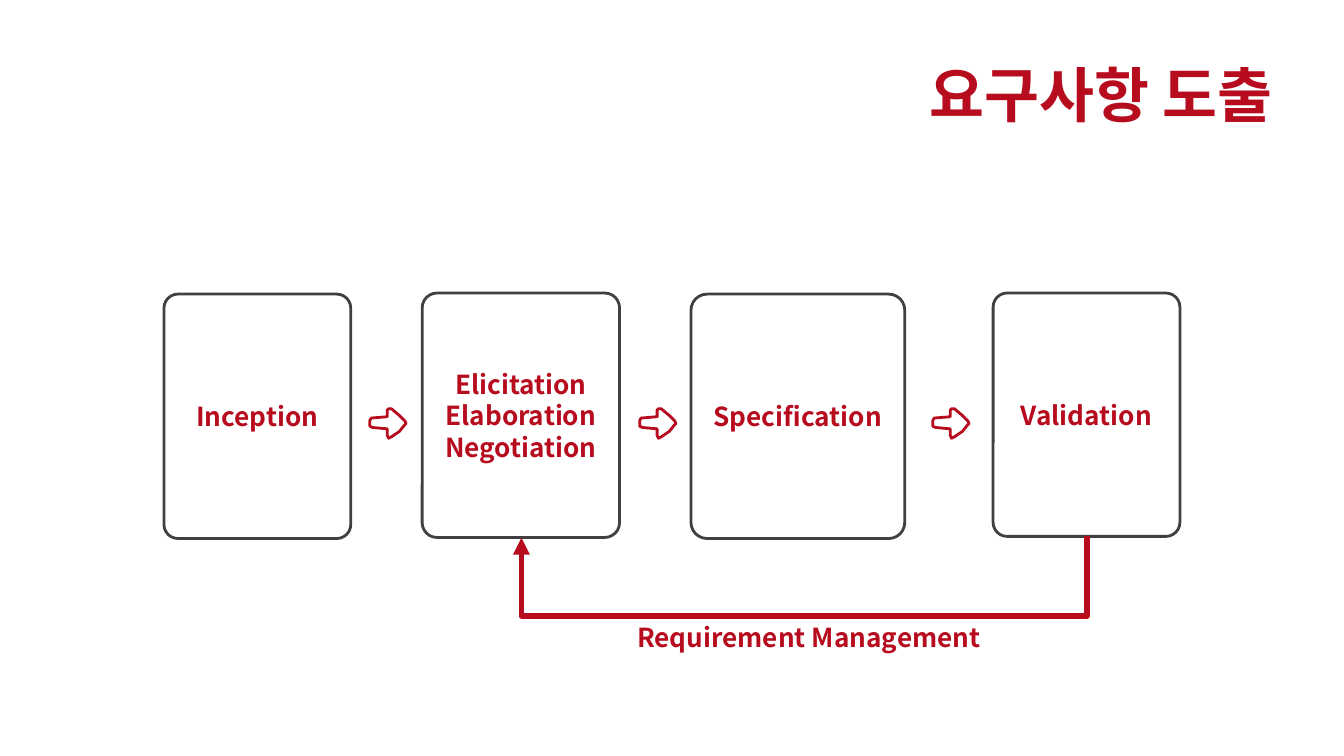
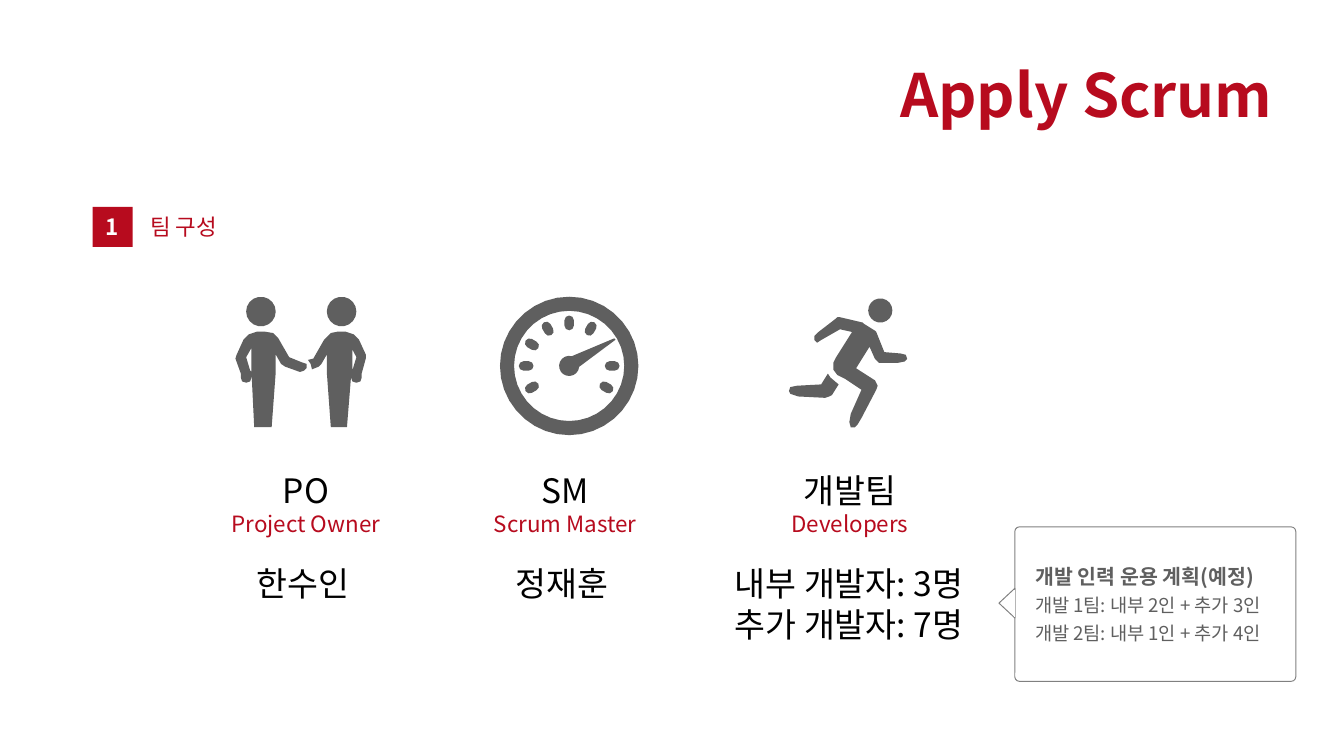
import dataclasses
import math
import typing

import lxml.etree
import pptx
import pptx.dml.color
import pptx.enum.shapes
import pptx.enum.text
import pptx.oxml.ns
import pptx.util

Cm = pptx.util.Cm
Pt = pptx.util.Pt
Align = pptx.enum.text.PP_ALIGN
Anchor = pptx.enum.text.MSO_ANCHOR
Fit = pptx.enum.text.MSO_AUTO_SIZE
Preset = pptx.enum.shapes.MSO_SHAPE
Connector = pptx.enum.shapes.MSO_CONNECTOR

FONT = "Noto Sans CJK KR"
RED, WHITE, BLACK = "B70B1E", "FFFFFF", "000000"
OUTLINE, ICON_GREY, CALLOUT_GREY = "404040", "5F5F5F", "808080"
TITLE_RIGHT = 24.31
GRID = 100

Point = tuple[float, float]
Contour = list[Point]


@dataclasses.dataclass(frozen=True)
class Area:
    left: float
    top: float
    width: float
    height: float

    def lengths(self) -> list[int]:
        return [Cm(value) for value in dataclasses.astuple(self)]


@dataclasses.dataclass(frozen=True)
class Line:
    text: str
    size: float
    color: str = RED
    bold: bool = False


@dataclasses.dataclass(frozen=True)
class Stage:
    text: tuple[str, ...]
    area: Area


@dataclasses.dataclass(frozen=True)
class Member:
    role: str
    label: str
    role_left: float
    names: tuple[str, ...]
    names_area: Area
    icon: list[Contour]
    icon_left: float
    icon_top: float


def colour(value: str) -> pptx.dml.color.RGBColor:
    return pptx.dml.color.RGBColor.from_string(value)


def set_values(target: typing.Any, values: dict[str, typing.Any]) -> None:
    for name, value in values.items():
        setattr(target, name, value)


def write(frame: typing.Any, lines: list[Line], frame_values: dict[str, typing.Any],
          para_values: dict[str, typing.Any]) -> None:
    set_values(frame, frame_values)
    for index, line in enumerate(lines):
        para = frame.add_paragraph() if index else frame.paragraphs[0]
        set_values(para, para_values)
        span = para.add_run()
        span.text = line.text
        set_values(span.font, {"name": FONT, "size": Pt(line.size), "bold": line.bold})
        span.font.color.rgb = colour(line.color)
        east_asian = lxml.etree.SubElement(span.font._element, pptx.oxml.ns.qn("a:ea"))
        east_asian.set("typeface", FONT)


def paint(shape: typing.Any, fill: str = "", line: str = "", width: float = 0) -> None:
    shape.shadow.inherit = False
    if fill:
        shape.fill.solid()
        shape.fill.fore_color.rgb = colour(fill)
    else:
        shape.fill.background()
    if line:
        shape.line.color.rgb = colour(line)
        shape.line.width = Pt(width)
    else:
        shape.line.fill.background()


def add_text(shapes: typing.Any, area: Area, lines: list[Line],
             align: typing.Any = Align.CENTER, wrap: bool = True) -> None:
    box = shapes.add_textbox(*area.lengths())
    write(box.text_frame, lines, {"word_wrap": wrap, "auto_size": Fit.SHAPE_TO_FIT_TEXT},
          {"alignment": align})


def add_preset(shapes: typing.Any, kind: typing.Any, area: Area, fill: str = "",
               line: str = "", width: float = 0) -> typing.Any:
    shape = shapes.add_shape(kind, *area.lengths())
    paint(shape, fill, line, width)
    return shape


def add_outline(shapes: typing.Any, contours: list[Contour], left: float, top: float,
                fill: str = "", line: str = "", width: float = 0) -> None:
    scaled = [[(x * GRID, y * GRID) for x, y in contour] for contour in contours]
    builder = shapes.build_freeform(*scaled[0][0], scale=Cm(2.54) / (100 * GRID))
    for index, contour in enumerate(scaled):
        if index:
            builder.move_to(*contour[0])
        builder.add_line_segments(contour[1:], close=True)
    paint(builder.convert_to_shape(Cm(left), Cm(top)), fill, line, width)


def add_line(shapes: typing.Any, kind: typing.Any, begin: Point, end: Point,
             color: str, width: float) -> typing.Any:
    line = shapes.add_connector(kind, *[Cm(value) for value in begin + end])
    line.line.color.rgb = colour(color)
    line.line.width = Pt(width)
    lxml.etree.SubElement(line._element.spPr, pptx.oxml.ns.qn("a:effectLst"))
    return line


def add_return_arrow(shapes: typing.Any, left: float, top: float, offset: float,
                     span: float, drop: float) -> None:
    arrow = add_line(shapes, Connector.ELBOW, (left, top), (left + offset, top + span), RED, 3)
    properties = arrow._element.spPr
    properties.find(pptx.oxml.ns.qn("a:xfrm")).set("rot", "5400000")
    adjustments = properties.find(pptx.oxml.ns.qn("a:prstGeom")).get_or_add_avLst()
    guide = lxml.etree.SubElement(adjustments, pptx.oxml.ns.qn("a:gd"))
    guide.set("name", "adj1")
    guide.set("fmla", f"val {round(drop / offset * 100000)}")
    stroke = properties.find(pptx.oxml.ns.qn("a:ln"))
    lxml.etree.SubElement(stroke, pptx.oxml.ns.qn("a:tailEnd")).set("type", "triangle")


def add_page(deck: typing.Any, title: str, title_width: float) -> typing.Any:
    page = deck.slides.add_slide(deck.slide_layouts[5])
    box = page.shapes.title
    area = Area(TITLE_RIGHT - title_width, 0.97, title_width, 1.63)
    set_values(box, dict(zip(("left", "top", "width", "height"), area.lengths())))
    write(box.text_frame, [Line(title, 32, bold=True)],
          {"word_wrap": False, "auto_size": Fit.SHAPE_TO_FIT_TEXT,
           "vertical_anchor": Anchor.TOP}, {"alignment": Align.RIGHT})
    return page


def arc(x: float, y: float, radius: float, step: int, start: int = 0,
        sweep: int = 360) -> Contour:
    angles = [math.radians(angle) for angle in range(start, start + sweep, step)]
    return [(x + radius * math.cos(a), y - radius * math.sin(a)) for a in angles]


def gauge_tick(center: float, degrees: int) -> Contour:
    def end(radius: float, start: int) -> Contour:
        turn = math.radians(degrees)
        x = center + radius * math.cos(turn)
        y = center - radius * math.sin(turn)
        return arc(x, y, 3.5, 45, start, 181)

    return end(34, degrees - 90) + end(30, degrees + 90)


ARROW = [[(16, 1), (22, 6), (26, 10), (27, 12), (26, 13), (22, 18), (16, 22), (14, 23),
          (13, 21), (13, 16), (2, 15), (0, 14), (0, 10), (1, 8), (13, 7), (13, 2), (14, 1)]]

HANDSHAKE = [
    arc(19, 11, 11, 20),
    arc(79, 11, 11, 20),
    [(16, 26), (10, 28), (6, 32), (1, 43), (0, 46), (4, 57), (4, 60), (5, 63), (8, 64),
     (11, 63), (12, 60), (12, 56), (14, 97), (27, 97), (30, 56), (30, 43), (34, 50),
     (37, 52), (48, 56), (51, 55), (53, 53), (53, 50), (50, 49), (40, 45), (32, 31),
     (28, 27), (22, 26)],
    [(76, 26), (71, 27), (68, 30), (66, 32), (58, 46), (54, 47), (56, 50), (57, 54),
     (62, 52), (64, 50), (68, 43), (68, 56), (71, 97), (83, 97), (86, 60), (87, 63),
     (90, 64), (93, 63), (94, 60), (94, 57), (97, 46), (97, 43), (92, 32), (88, 28),
     (82, 26)],
    [(12, 38), (12, 56), (11, 55), (8, 45)],
    [(87, 39), (90, 45), (87, 55)],
]

GAUGE = [
    arc(51.5, 51.5, 51.5, 10),
    arc(51.5, 51.5, 41, 10),
    *[gauge_tick(51.5, angle) for angle in range(-30, 211, 30) if angle != 30],
    arc(51.5, 51.5, 7.5, 20, 75, 281) + [(86, 32), (85, 31)],
]

RUNNER = [
    arc(68, 9, 9, 20),
    [(36, 14), (35, 15), (22, 25), (19, 28), (19, 31), (21, 33), (24, 31), (38, 23),
     (47, 25), (35, 44), (33, 48), (33, 53), (36, 57), (42, 60), (54, 68), (46, 86),
     (45, 92), (46, 96), (49, 96), (51, 94), (54, 89), (65, 68), (66, 65), (64, 61),
     (50, 52), (60, 36), (64, 45), (67, 48), (81, 48), (86, 47), (88, 45), (87, 42),
     (83, 41), (71, 40), (65, 25), (64, 24), (56, 19), (55, 18), (38, 14)],
    [(29, 56), (24, 64), (6, 65), (1, 66), (0, 69), (1, 71), (7, 73), (27, 74), (30, 73),
     (32, 72), (37, 64), (31, 59)],
]

STAGES = [
    Stage(("Inception",), Area(3.1, 5.56, 3.53, 4.62)),
    Stage(("Elicitation Elaboration", "Negotiation"), Area(7.98, 5.54, 3.73, 4.62)),
    Stage(("Specification",), Area(13.06, 5.56, 4.04, 4.62)),
    Stage(("Validation",), Area(18.77, 5.54, 3.53, 4.6)),
]

MEMBERS = [
    Member("PO", "Project Owner", 3.18, ("한수인",), Area(4.5, 10.52, 2.44, 1.02),
           HANDSHAKE, 4.45, 5.61),
    Member("SM", "Scrum Master", 8.08, ("정재훈",), Area(9.4, 10.52, 2.44, 1.02),
           GAUGE, 9.45, 5.61),
    Member("개발팀", "Developers", 13.46, ("내부 개발자: 3명", "추가 개발자: 7명"),
           Area(13.34, 10.52, 5.41, 1.8), RUNNER, 14.91, 5.64),
]


def build_requirements(deck: typing.Any) -> None:
    shapes = add_page(deck, "요구사항 도출", 7.09).shapes
    for stage in STAGES:
        card = add_preset(shapes, Preset.ROUNDED_RECTANGLE, stage.area, line=OUTLINE, width=1.5)
        card.adjustments[0] = 0.075
        write(card.text_frame, [Line(text, 14, bold=True) for text in stage.text],
              {"word_wrap": True, "vertical_anchor": Anchor.MIDDLE},
              {"alignment": Align.CENTER})
    for left in (6.99, 12.09, 17.63):
        add_outline(shapes, ARROW, left, 7.7, line=RED, width=1.5)
    add_return_arrow(shapes, 15.18, 4.8, 0.04, 10.69, 1.52)
    add_text(shapes, Area(11.73, 11.63, 7.06, 0.86),
             [Line("Requirement Management", 14, bold=True)], Align.RIGHT, wrap=False)


def add_staffing_callout(shapes: typing.Any) -> None:
    card = add_preset(shapes, Preset.ROUNDED_RECTANGLE, Area(19.18, 9.96, 5.31, 2.92),
                      WHITE, CALLOUT_GREY, 0.5)
    card.adjustments[0] = 0.03
    lines = [Line("개발 인력 운용 계획(예정)", 11, ICON_GREY, True),
             Line("개발 1팀: 내부 2인 + 추가 3인", 10, ICON_GREY),
             Line("개발 2팀: 내부 1인 + 추가 4인", 10, ICON_GREY)]
    write(card.text_frame, lines,
          {"word_wrap": True, "vertical_anchor": Anchor.MIDDLE,
           "margin_left": Cm(0.36), "margin_right": Cm(0.36)},
          {"alignment": Align.JUSTIFY, "space_after": Pt(3)})
    pointer = add_preset(shapes, Preset.ISOSCELES_TRIANGLE, Area(18.75, 11.25, 0.56, 0.3),
                         WHITE, CALLOUT_GREY, 0.5)
    pointer.rotation = 270
    add_line(shapes, Connector.STRAIGHT, (19.18, 11.15), (19.18, 11.66), WHITE, 0.5)


def build_scrum(deck: typing.Any) -> None:
    shapes = add_page(deck, "Apply Scrum", 7.62).shapes
    badge = add_preset(shapes, Preset.RECTANGLE, Area(1.75, 3.91, 0.76, 0.76), RED)
    write(badge.text_frame, [Line("1", 12, WHITE, True)],
          {"word_wrap": False, "auto_size": Fit.SHAPE_TO_FIT_TEXT,
           "vertical_anchor": Anchor.TOP}, {"alignment": Align.LEFT})
    add_text(shapes, Area(2.59, 3.91, 5.72, 0.76), [Line("팀 구성", 12)], Align.LEFT)
    for member in MEMBERS:
        add_outline(shapes, member.icon, member.icon_left, member.icon_top, ICON_GREY)
        add_text(shapes, Area(member.role_left, 8.76, 5.21, 1.55),
                 [Line(member.role, 18, BLACK), Line(member.label, 12)])
        add_text(shapes, member.names_area, [Line(name, 18, BLACK) for name in member.names])
    add_staffing_callout(shapes.add_group_shape().shapes)


def main() -> None:
    deck = pptx.Presentation()
    set_values(deck, {"slide_width": Cm(25.4), "slide_height": Cm(14.29)})
    build_requirements(deck)
    build_scrum(deck)
    deck.save("out.pptx")


if __name__ == "__main__":
    main()
